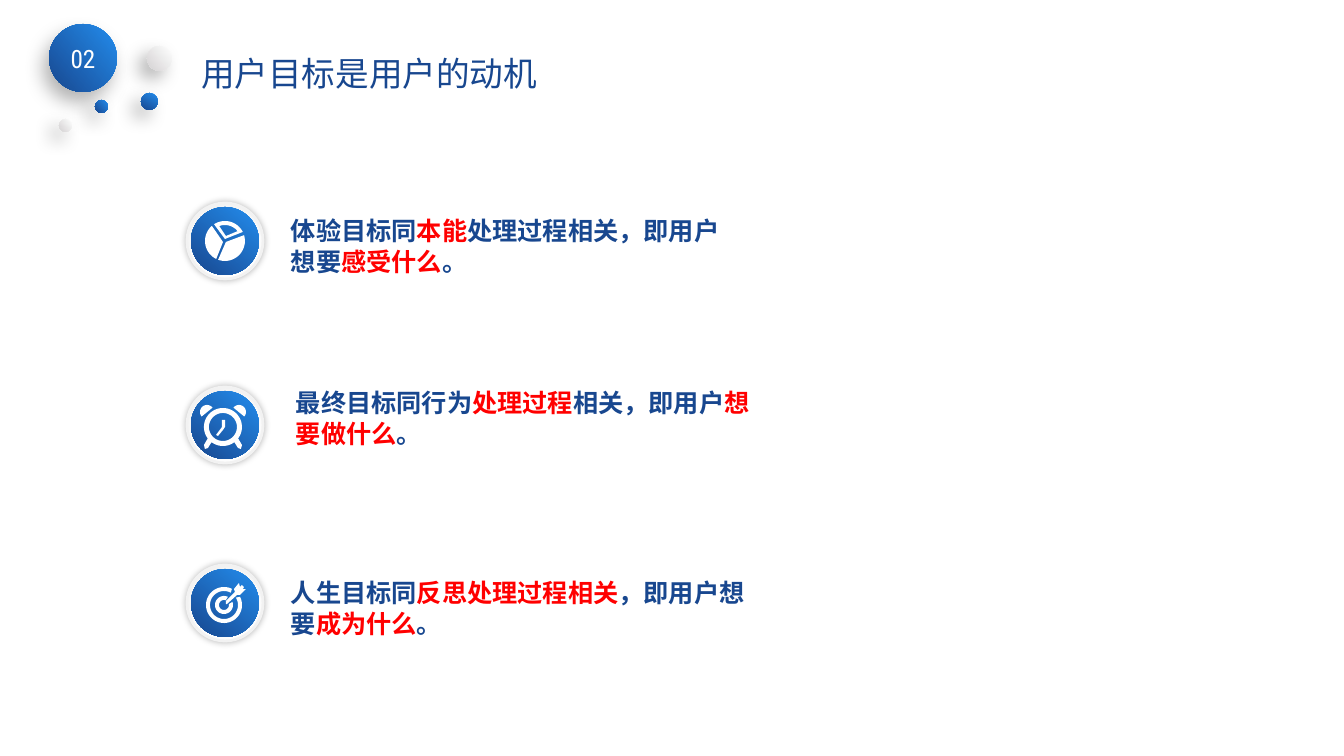
"""Build the slide on user goals as motivation: three goals, each with an icon badge."""
from dataclasses import dataclass
from math import cos, radians, sin

from lxml.etree import SubElement
from pptx import Presentation
from pptx.dml.color import RGBColor
from pptx.enum.shapes import MSO_SHAPE
from pptx.enum.text import MSO_ANCHOR, PP_ALIGN
from pptx.oxml.ns import qn
from pptx.util import Pt

TITLE = "用户目标是用户的动机"
SECTION = "02"

PIE_ICON = [
    [[(1, 1), (0, 0, 20, -17, 110)]],
    [[(-2, 1), (0, 0, 20, 116, 229)]],
    [[(0, -2), (0, 0, 20, 237, 333)], [(1, -5), (0, 0, 16, 322, 249)]],
]
CLOCK_ICON = [
    [[(-2, 2, 19, 53, 127), (-17, 23), (-20, 24), (-21, 20),
      (-2, 2, 19, 143, 397), (17, 20), (16, 24), (13, 23)],
     [(-2, 2, 14, 360, 0)]],
    [[(14, -13, 7, 218, 400)]],
    [[(-18, -13, 7, 140, 322)]],
    [[(-3, -5), (0, -5), (0, 2), (-2, 5), (-7, 11), (-9, 10), (-3, 2)]],
]
TARGET_ICON = [
    [[(-1, 2, 18, -27, 296), (-1, 2, 14, 299, -32)]],
    [[(-1, 2, 9, -20, 296), (-1, 2, 5, 290, -10)]],
    [[(1, 1), (1, -2), (10, -11), (9, -14), (14, -20), (15, -16), (17, -18),
      (19, -16), (18, -14), (21, -14), (15, -8), (12, -8), (2, 1)]],
]

GOALS = [
    {"badge_y": 241, "icon": PIE_ICON, "box": (281, 211, 452, 72),
     "words": ["体验目标同", "本能", "处理过程相关，即用户想要", "感受什么", "。"]},
    {"badge_y": 425, "icon": CLOCK_ICON, "box": (286, 383, 478, 72),
     "words": ["最终目标同行为", "处理过程", "相关，即用户", "想要做什么", "。"]},
    {"badge_y": 603, "icon": TARGET_ICON, "box": (281, 573, 498, 72),
     "words": ["人生目标同", "反思处理过程相关", "，即用户想要", "成为什么", "。"]},
]


@dataclass(frozen=True)
class Theme:
    """Colours, fonts and type sizes."""
    navy: str = "18478F"
    red: str = "FF0000"
    white: str = "FFFFFF"
    rim: str = "F2F2F2"
    blue_fade: tuple = ("238DED", "18478F")
    grey_fade: tuple = ("FFFFFF", "D4D2D3")
    rim_fade: tuple = ("FFFFFF", "F2F2F2")
    chinese: str = "Noto Sans CJK SC"
    heading: str = "Open Sans"
    number: str = "Roboto Condensed"
    title_size: int = 24
    body_size: int = 18


THEME = Theme()
PX = 914400 / 100.8
BADGE_X, RIM_SIZE, DISC_SIZE = 225, 76, 68
TITLE_BOX = (191, 48, 464, 50)

BUBBLES = [
    (49, 24, 68, THEME.blue_fade, 140, (30, 14, 8, 120)),
    (147, 46, 25, THEME.grey_fade, 140, (30, 13, 8, 135)),
    (59, 119, 13, THEME.grey_fade, 140, (30, 13, 8, 135)),
    (95, 100, 13, THEME.blue_fade, 140, (30, 13, 8, 135)),
    (141, 93, 17, THEME.blue_fade, 120, (30, 13, 8, 135)),
]


def emu(*lengths):
    """Turn px lengths into EMU."""
    return [round(length * PX) for length in lengths]


def apply(target, **values):
    """Set each named attribute on the target."""
    for name, value in values.items():
        setattr(target, name, value)


def write(paragraph, text, font, size, color, bold=False):
    """Add one formatted run to the paragraph."""
    run = paragraph.add_run()
    run.text = text
    apply(run.font, name=font, size=Pt(size), bold=bold)
    run.font.color.rgb = RGBColor.from_string(color)
    SubElement(run.font._element, qn("a:ea"), typeface=THEME.chinese)


def add_disc(slide, left, top, size, fade, angle, shadow=None):
    """Draw a gradient circle, with an optional soft shadow."""
    disc = slide.shapes.add_shape(MSO_SHAPE.OVAL, *emu(left, top, size, size))
    disc.fill.gradient()
    disc.fill.gradient_angle = 360 - angle
    for stop, color, position in zip(disc.fill.gradient_stops, fade, (0, 1)):
        apply(stop, position=position)
        stop.color.rgb = RGBColor.from_string(color)
    disc.line.fill.background()
    disc.shadow.inherit = False
    if shadow:
        alpha, blur, distance, direction = shadow
        effects = disc._element.spPr.find(qn("a:effectLst"))
        outer = SubElement(effects, qn("a:outerShdw"), blurRad=str(Pt(blur)),
                           dist=str(Pt(distance)), dir=str(direction * 60000),
                           algn="ctr", rotWithShape="0")
        tint = SubElement(outer, qn("a:srgbClr"), val="000000")
        SubElement(tint, qn("a:alpha"), val=str(alpha * 1000))
    return disc


def trace(contour, center_y):
    """Turn points and arcs around a badge centre into EMU points."""
    points = []
    for part in contour:
        if len(part) == 2:
            points.append(part)
            continue
        x, y, radius, start, end = part
        steps = max(8, abs(end - start) // 6)
        for step in range(steps + 1):
            turn = radians(start + (end - start) * step / steps)
            points.append((x + radius * cos(turn), y + radius * sin(turn)))
    return [emu(BADGE_X + x, center_y + y) for x, y in points]


def add_icon(slide, pieces, center_y):
    """Draw the white outlines of an icon."""
    for contours in pieces:
        first, *holes = [trace(contour, center_y) for contour in contours]
        builder = slide.shapes.build_freeform(*first[0], scale=1.0)
        builder.add_line_segments(first[1:], close=True)
        for hole in holes:
            builder.move_to(*hole[0])
            builder.add_line_segments(hole[1:], close=True)
        piece = builder.convert_to_shape()
        piece.fill.solid()
        piece.fill.fore_color.rgb = RGBColor.from_string(THEME.white)
        piece.line.fill.background()
        piece.shadow.inherit = False


def add_goal(slide, goal):
    """Draw one goal: badge, icon and sentence with red key words."""
    middle = goal["badge_y"]
    rim = add_disc(slide, BADGE_X - RIM_SIZE // 2, middle - RIM_SIZE // 2,
                   RIM_SIZE, THEME.rim_fade, 250, (26, 5, 0, 0))
    rim.line.color.rgb = RGBColor.from_string(THEME.rim)
    rim.line.width = Pt(2)
    add_disc(slide, BADGE_X - DISC_SIZE // 2, middle - DISC_SIZE // 2,
             DISC_SIZE, THEME.blue_fade, 130)
    add_icon(slide, goal["icon"], middle)
    sentence = slide.shapes.add_textbox(*emu(*goal["box"])).text_frame
    sentence.word_wrap = True
    paragraph = sentence.paragraphs[0]
    paragraph.line_spacing = Pt(21.5)
    for index, words in enumerate(goal["words"]):
        color = THEME.red if index % 2 else THEME.navy
        write(paragraph, words, THEME.chinese, THEME.body_size, color, True)


def main():
    """Build and save the slide."""
    deck = Presentation()
    width, height = emu(1344, 756)
    apply(deck, slide_width=width, slide_height=height)
    slide = deck.slides.add_slide(deck.slide_layouts[5])

    title = slide.shapes.title
    apply(title, **dict(zip(("left", "top", "width", "height"), emu(*TITLE_BOX))))
    apply(title.text_frame, word_wrap=True, vertical_anchor=MSO_ANCHOR.MIDDLE)
    heading = title.text_frame.paragraphs[0]
    heading.alignment = PP_ALIGN.LEFT
    write(heading, TITLE, THEME.heading, THEME.title_size, THEME.navy)

    badge, *_ = [add_disc(slide, *bubble) for bubble in BUBBLES]
    apply(badge.text_frame, word_wrap=False, vertical_anchor=MSO_ANCHOR.MIDDLE)
    number = badge.text_frame.paragraphs[0]
    number.alignment = PP_ALIGN.CENTER
    write(number, SECTION, THEME.number, THEME.body_size, THEME.white)

    for goal in GOALS:
        add_goal(slide, goal)
    deck.save("out.pptx")


if __name__ == "__main__":
    main()
